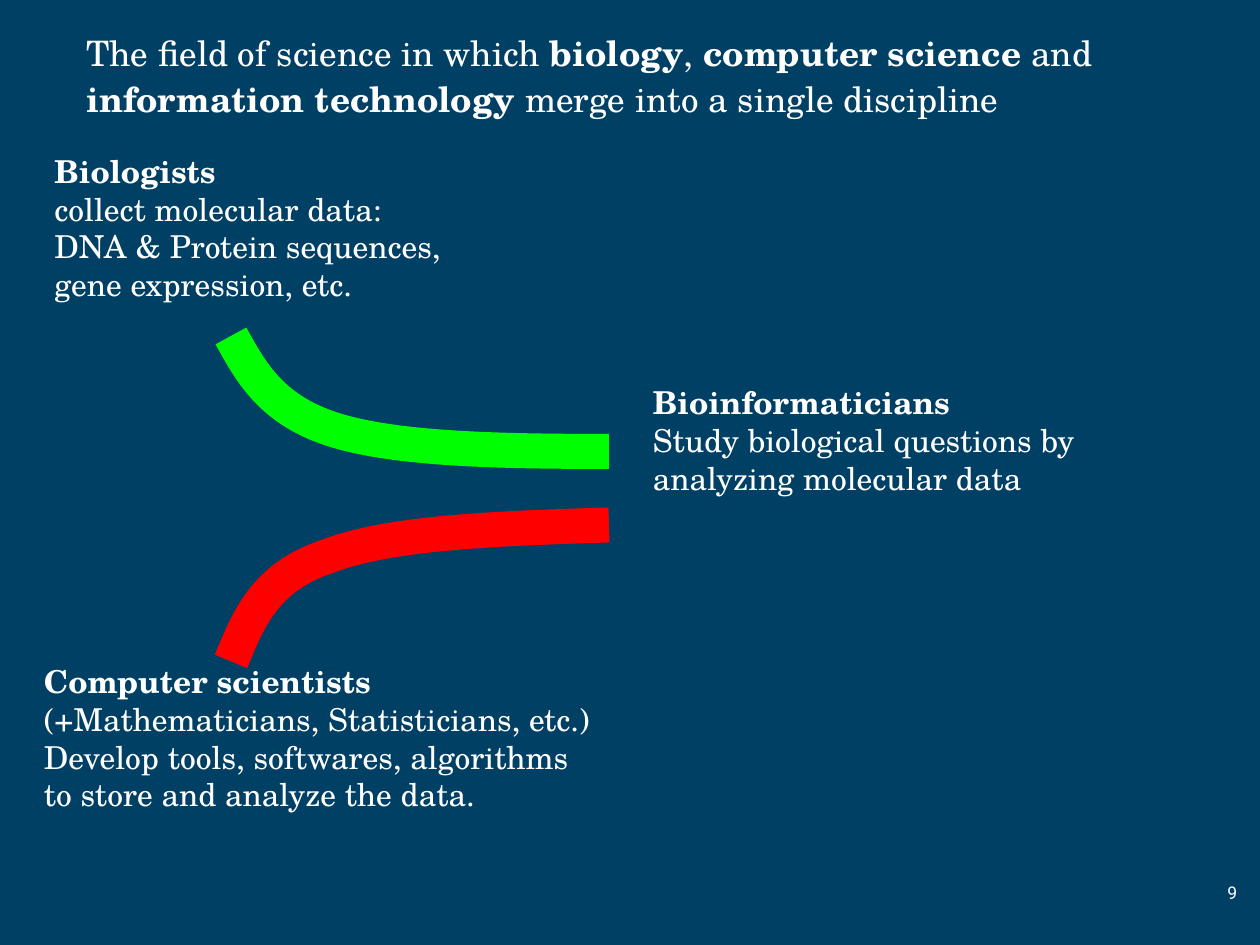
from lxml import etree
from pptx import Presentation
from pptx.dml.color import RGBColor
from pptx.enum import shapes, text
from pptx.oxml import ns
from pptx.util import Pt

SERIF = "TeX Gyre Schola"
WHITE = "FFFFFF"
NAVY = "004065"


def color(value):
    return RGBColor.from_string(value)


def paint(shape, value):
    shape.fill.solid()
    shape.fill.fore_color.rgb = color(value)


def format_span(span, size, bold=False, name=SERIF):
    span.font.name = name
    span.font.size = Pt(size)
    span.font.bold = bold
    span.font.color.rgb = color(WHITE)


def add_panel(page, left, top, width, height):
    """Add a plain navy rectangle that holds text."""
    panel = page.shapes.add_shape(shapes.MSO_SHAPE.RECTANGLE,
                                  Pt(left), Pt(top), Pt(width), Pt(height))
    panel.shadow.inherit = False
    paint(panel, NAVY)
    panel.line.fill.background()
    panel.text_frame.word_wrap = True
    return panel


def add_headline(page, left, top, width, height, parts):
    """Fill the title placeholder with (wording, bold) parts."""
    title = page.shapes.title
    title.left, title.top = Pt(left), Pt(top)
    title.width, title.height = Pt(width), Pt(height)
    paint(title, NAVY)
    frame = title.text_frame
    frame.word_wrap = True
    frame.auto_size = text.MSO_AUTO_SIZE.NONE
    frame.vertical_anchor = text.MSO_ANCHOR.TOP
    para = frame.paragraphs[0]
    para.alignment = text.PP_ALIGN.LEFT
    para.line_spacing = 1.1
    for wording, bold in parts:
        span = para.add_run()
        span.text = wording
        format_span(span, 20, bold)


def add_role(page, left, top, width, height, lines, inset=3.6):
    """Place a group of people: a bold name above what they do."""
    frame = add_panel(page, left, top, width, height).text_frame
    frame.vertical_anchor = text.MSO_ANCHOR.TOP
    frame.margin_top = Pt(inset)
    frame.text = "\n".join(lines)
    for index, para in enumerate(frame.paragraphs):
        para.alignment = text.PP_ALIGN.LEFT
        para.font.size = Pt(18)
        for span in para.runs:
            format_span(span, 18, bold=index == 0)


def add_curve(page, start, points, stroke):
    """Draw an open path of Bezier curves, three points for each."""
    builder = page.shapes.build_freeform(*start, scale=Pt(1))
    builder.add_line_segments(points, close=False)
    curve = builder.convert_to_shape()
    curve.shadow.inherit = False
    paint(curve, NAVY)
    curve.line.color.rgb = color(stroke)
    curve.line.width = Pt(20)

    # Gather each three straight segments into one cubic curve
    segments = list(curve._element.iter(ns.qn("a:lnTo")))
    for first in range(0, len(segments), 3):
        bezier = etree.Element(ns.qn("a:cubicBezTo"))
        segments[first].addprevious(bezier)
        for segment in segments[first:first + 3]:
            bezier.append(segment[0])
            segment.getparent().remove(segment)


def add_page_number(page, left, top, width, height, number):
    frame = add_panel(page, left, top, width, height).text_frame
    frame.margin_left = frame.margin_right = Pt(3.6)
    frame.vertical_anchor = text.MSO_ANCHOR.MIDDLE
    frame.text = number
    para = frame.paragraphs[0]
    para.alignment = text.PP_ALIGN.RIGHT
    format_span(para.runs[0], 10, name="Roboto")


def main():
    deck = Presentation()
    deck.slide_width, deck.slide_height = Pt(720), Pt(540)
    page = deck.slides.add_slide(deck.slide_layouts[5])
    paint(page.background, NAVY)

    add_headline(page, 42, 11.9, 642, 60.5, [
        ("The field of science in which ", False),
        ("biology", True),
        (", ", False),
        ("computer science", True),
        (" and ", False),
        ("information technology", True),
        (" merge into a single discipline", False),
    ])

    # The two founding groups and the one they merge into
    add_role(page, 24, 83.2, 300, 151, [
        "Biologists",
        "collect molecular data:",
        "DNA & Protein sequences,",
        "gene expression, etc.",
    ])
    add_role(page, 18, 352.8, 407, 116.6, [
        "Computer scientists",
        "(+Mathematicians, Statisticians, etc.)",
        "Develop tools, softwares, algorithms \vto store and analyze the data.",
    ], inset=25.5)
    add_role(page, 366, 215.4, 276, 94, [
        "Bioinformaticians",
        "Study biological questions by analyzing molecular data",
    ])

    # Merging curves
    add_curve(page, (132, 192), [
        (144, 213.6), (156, 235), (192, 246),
        (228, 257), (288, 257.5), (348, 258),
    ], "00FF00")
    add_curve(page, (132, 378), [
        (141.6, 354), (151, 330.5), (187, 317.5),
        (223, 304.5), (286, 302.5), (348, 300),
    ], "FF0000")

    add_page_number(page, 667.5, 489.5, 43, 41, "9")
    deck.save("out.pptx")


if __name__ == "__main__":
    main()
